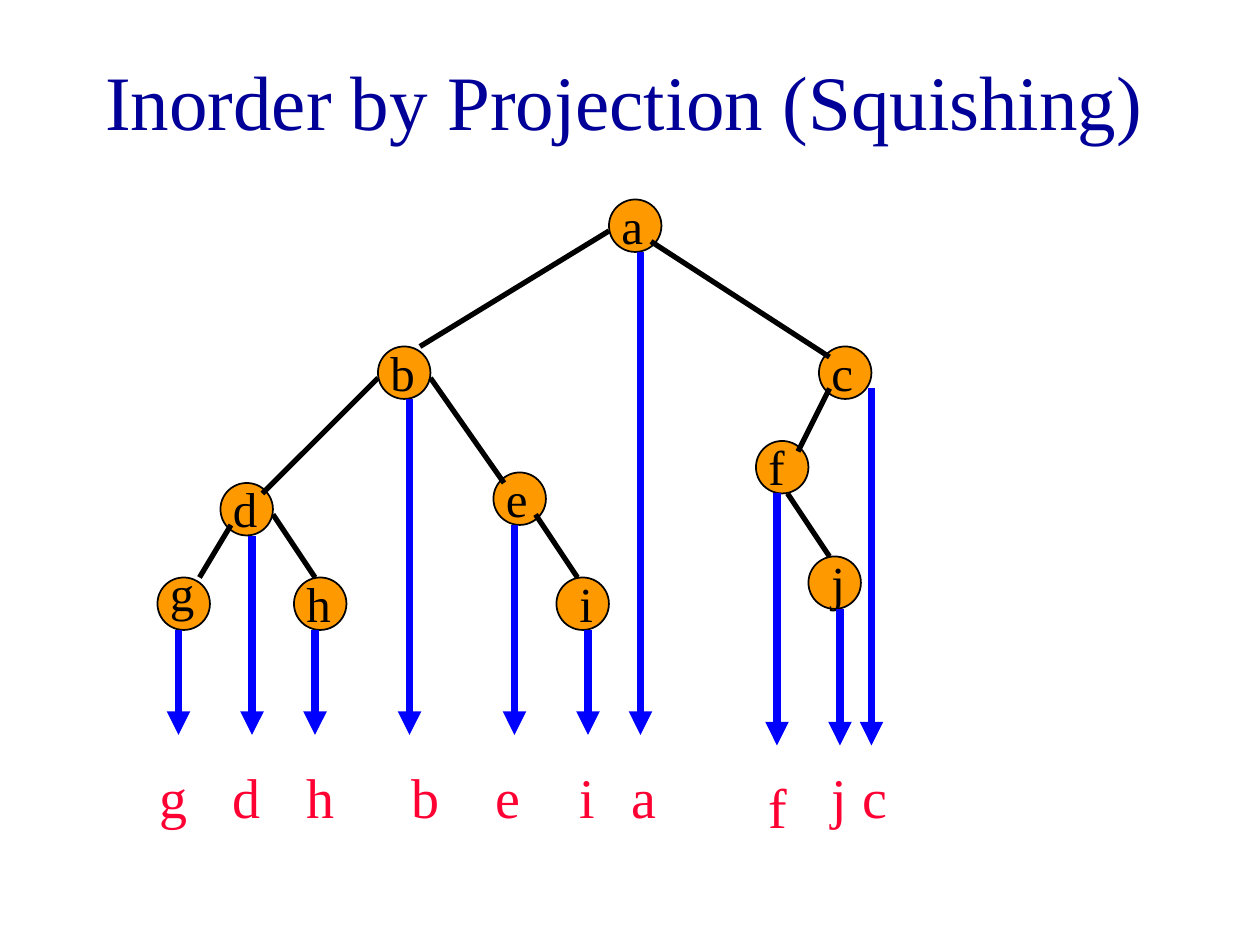
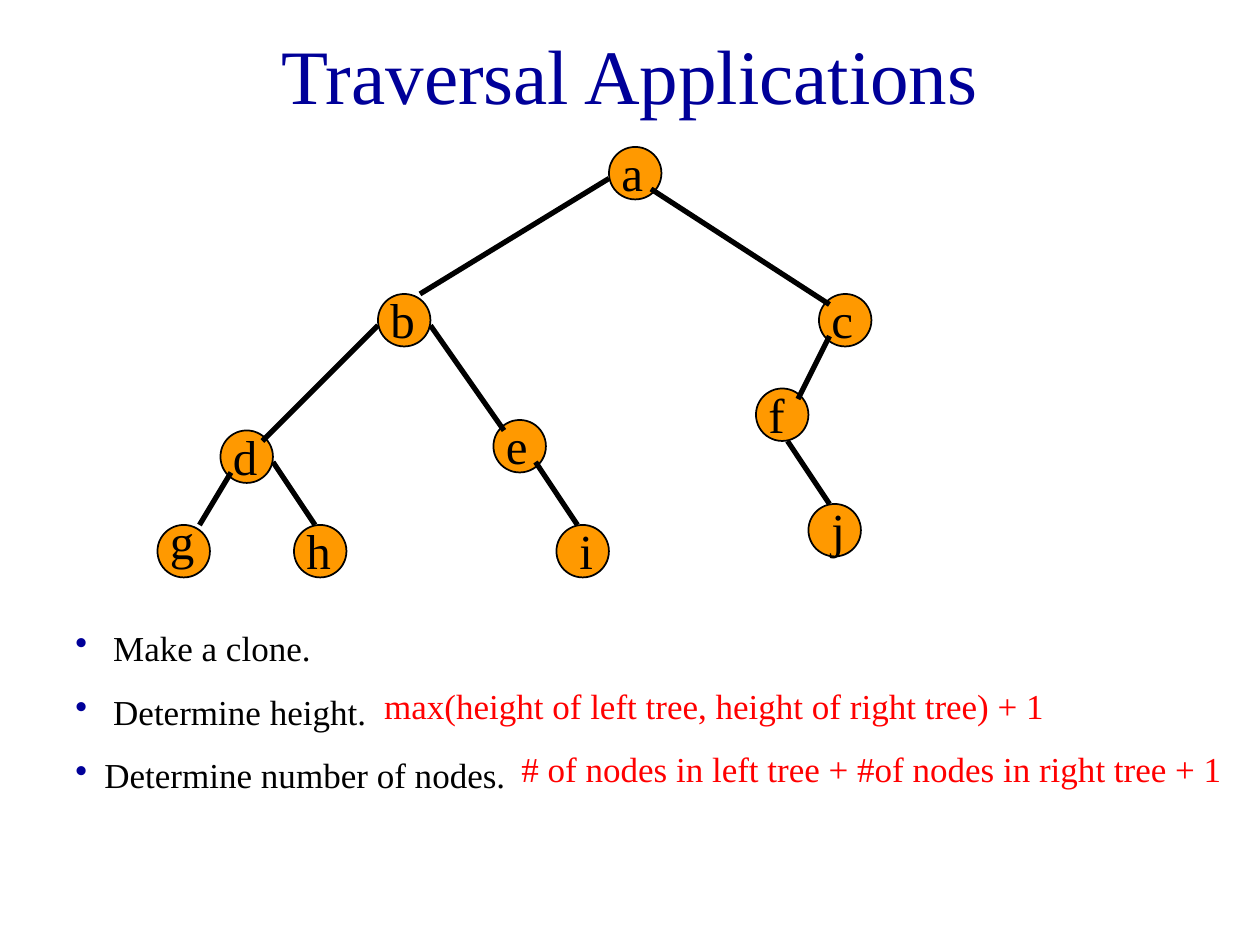
from dataclasses import dataclass

from lxml.etree import SubElement
from pptx import Presentation
from pptx.dml.color import RGBColor
from pptx.enum.shapes import MSO_CONNECTOR as CONN, MSO_SHAPE as SHAPE
from pptx.enum.text import MSO_ANCHOR as ANCHOR, MSO_AUTO_SIZE as FIT, PP_ALIGN as ALIGN
from pptx.oxml.ns import qn
from pptx.util import Inches, Pt


@dataclass(frozen=True)
class Theme:
    font: str = "Times New Roman"
    navy: str = "000099"
    orange: str = "FF9900"
    black: str = "000000"
    blue: str = "0000FF"
    pink: str = "FF0033"
    red: str = "FF0000"
    title: float = 44
    order: float = 32
    label: float = 28
    body: float = 20
    outline: float = 1
    edge: float = 3
    arrow: float = 4.5


# The tree is laid out on a grid of twelfths of an inch
NODE_SIZE = 5
NODES = {"a": (58, 19), "b": (36, 33), "c": (78, 33), "d": (21, 46), "e": (47, 45),
         "f": (72, 42), "g": (15, 55), "h": (28, 55), "i": (53, 55), "j": (77, 53)}
LABEL_SHIFT = {"g": (0, -2), "i": (1, -1), "j": (1, -1)}
EDGES = [(22, 50, 19, 55), (26, 49, 30, 55), (51, 49, 55, 55),
         (79, 37, 76, 43), (36, 36, 25, 47), (41, 36, 48, 46),
         (58, 22, 40, 33), (62, 23, 79, 34), (75, 47, 79, 53)]

# Inorder sequence: letter, left of its text, x of its arrow
INORDER = [("g", 14, 17), ("d", 21, 24), ("h", 28, 30), ("b", 38, 39), ("e", 46, 49),
           ("i", 54, 56), ("a", 59, 61), ("f", 72, 74), ("j", 78, 80), ("c", 81, 83)]
ORDER_TOP = 72

# Bulleted text with its hanging indent
APPLICATIONS = [("Make a clone.", 0.3), ("Determine height.", 0.3),
                ("Determine number of nodes.", 0.23)]
FORMULAS = [("max(height of left tree, height of right tree) + 1", 2.95, 5.38, 5.44),
            ("# of nodes in left tree + #of nodes in right tree + 1", 4.04, 5.88, 5.76)]


def grid(n):
    return Inches(n / 12)


class Deck:
    def __init__(self, theme):
        self.t = theme
        self.prs = Presentation()
        self.prs.slide_width, self.prs.slide_height = Inches(10), Inches(7.5)
        self.s = None

    def format_run(self, p, text, size, color):
        r = p.add_run()
        r.text = text
        for name, value in {"name": self.t.font, "size": Pt(size)}.items():
            setattr(r.font, name, value)
        r.font.color.rgb = RGBColor.from_string(color)

    def slide(self, title, left, top, width, height):
        self.s = self.prs.slides.add_slide(self.prs.slide_layouts[5])
        sp = self.s.shapes.title
        box = {"left": left, "top": top, "width": width, "height": height}
        for name, value in box.items():
            setattr(sp, name, Inches(value))
        tf = sp.text_frame
        for name, value in {"vertical_anchor": ANCHOR.MIDDLE, "word_wrap": True,
                            "auto_size": FIT.NONE}.items():
            setattr(tf, name, value)
        p = tf.paragraphs[0]
        p.alignment = ALIGN.CENTER
        self.format_run(p, title, self.t.title, self.t.navy)

    def text(self, text, box, size, color, wrap=True):
        tf = self.s.shapes.add_textbox(*box).text_frame
        tf.word_wrap = wrap
        tf.auto_size = FIT.SHAPE_TO_FIT_TEXT
        self.format_run(tf.paragraphs[0], text, size, color)

    def bullets(self, items, box):
        tf = self.s.shapes.add_textbox(*box).text_frame
        tf.word_wrap = True
        tf.auto_size = FIT.SHAPE_TO_FIT_TEXT
        for n, (text, indent) in enumerate(items):
            p = tf.add_paragraph() if n else tf.paragraphs[0]
            p.space_before = Pt(12.5)
            pPr = p._p.get_or_add_pPr()
            pPr.set("marL", str(Inches(indent)))
            pPr.set("indent", str(-Inches(indent)))
            color = SubElement(pPr, qn("a:buClr"))
            SubElement(color, qn("a:srgbClr"), val=self.t.navy)
            SubElement(pPr, qn("a:buChar"), char="•")
            self.format_run(p, text, self.t.body, self.t.black)

    def node(self, x, y):
        sp = self.s.shapes.add_shape(SHAPE.OVAL, grid(x), grid(y),
                                     grid(NODE_SIZE), grid(NODE_SIZE))
        sp.shadow.inherit = False
        sp.fill.solid()
        sp.fill.fore_color.rgb = RGBColor.from_string(self.t.orange)
        sp.line.color.rgb = RGBColor.from_string(self.t.black)
        sp.line.width = Pt(self.t.outline)

    def line(self, ends, color, width, arrow=False):
        cn = self.s.shapes.add_connector(CONN.STRAIGHT, *map(grid, ends))
        cn.line.color.rgb = RGBColor.from_string(color)
        cn.line.width = Pt(width)
        if arrow:
            SubElement(cn.line._get_or_add_ln(), qn("a:tailEnd"), type="triangle")
        SubElement(cn._element.spPr, qn("a:effectLst"))

    def tree(self, dy=0):
        t = self.t
        for x, y in NODES.values():
            self.node(x, y + dy)
        for x1, y1, x2, y2 in EDGES:
            self.line((x1, y1 + dy, x2, y2 + dy), t.black, t.edge)
        for letter, (x, y) in NODES.items():
            sx, sy = LABEL_SHIFT.get(letter, (0, -1))
            box = grid(x + sx), grid(y + sy + dy), grid(10), Inches(0.57)
            self.text(letter, box, t.label, t.black)

    def projection(self):
        t = self.t
        for letter, left, x in INORDER:
            top = ORDER_TOP + (letter == "f")
            self.text(letter, (grid(left), grid(top), grid(5), Inches(0.64)), t.order, t.pink)
            start = NODES[letter][1] + NODE_SIZE - (letter == "c")
            end = 71 if letter in "fjc" else 70
            self.line((x, start, x, end), t.blue, t.arrow, arrow=True)


def main():
    theme = Theme()
    deck = Deck(theme)

    # Inorder by projection
    deck.slide("Inorder by Projection (Squishing)", 0.33, 0.17, 9.25, 1.25)
    deck.tree()
    deck.projection()

    # Applications: the same tree, moved up
    deck.slide("Traversal Applications", 0.75, 0.17, 8.5, 0.83)
    deck.tree(dy=-5)
    deck.bullets(APPLICATIONS, [Inches(v) for v in (0.5, 4.92, 7.08, 1.45)])
    for text, *place in FORMULAS:
        box = [Inches(v) for v in (*place, 0.44)]
        deck.text(text, box, theme.body, theme.red, wrap=False)

    deck.prs.save("out.pptx")


if __name__ == "__main__":
    main()
